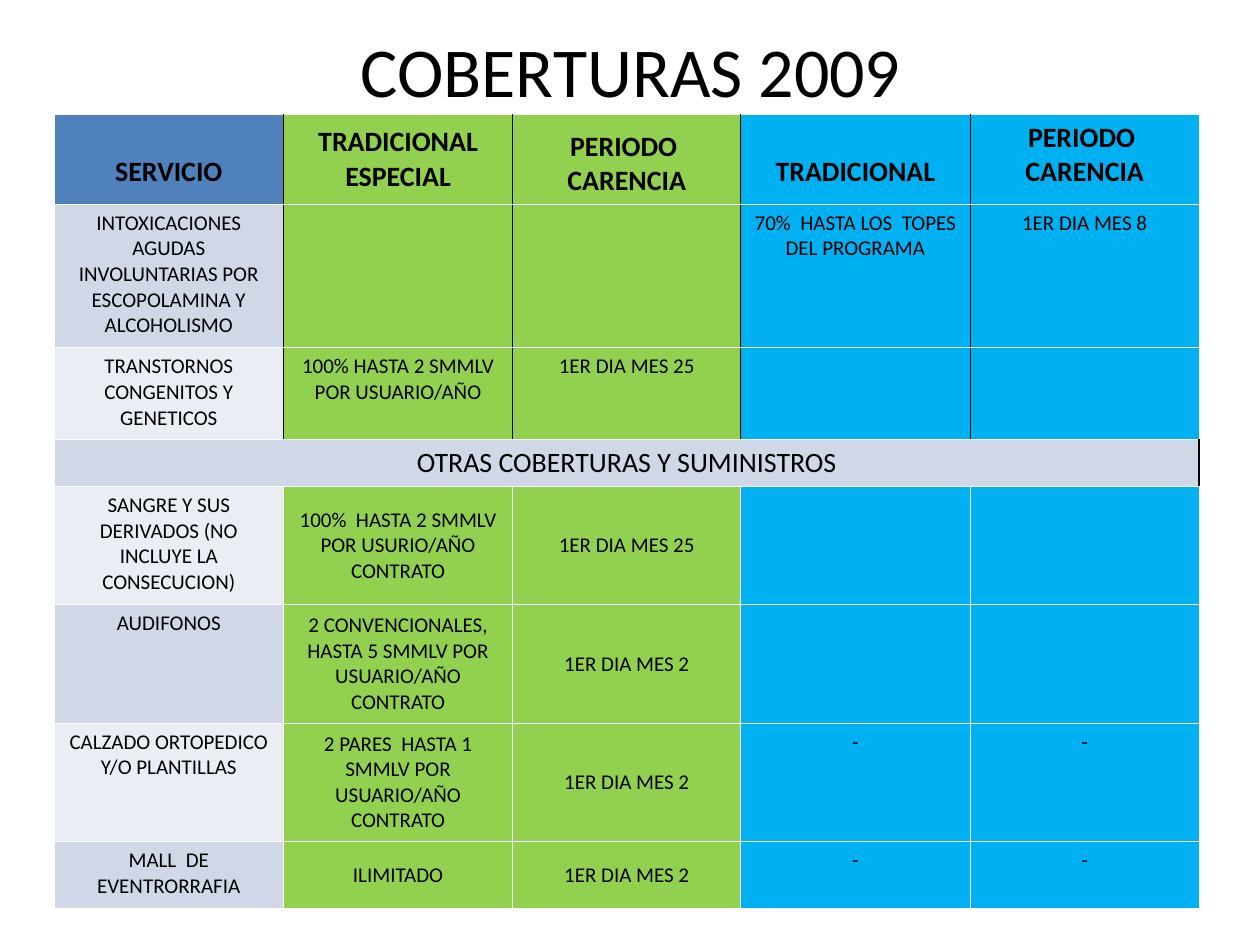
from lxml import etree
from pptx import Presentation
from pptx import util as u
from pptx.dml.color import RGBColor
from pptx.enum import text
from pptx.oxml.ns import qn

FONT = "Calibri"
BLACK, WHITE = "000000", "FFFFFF"
BLUE, GREEN, CYAN = "4F81BD", "92D050", "00B0F0"
BANDS = ("E9EDF4", "D0D8E8")
TOP, MIDDLE, BOTTOM = (text.MSO_ANCHOR.TOP, text.MSO_ANCHOR.MIDDLE,
                       text.MSO_ANCHOR.BOTTOM)

COL_WIDTHS = [1.82, 1.82, 1.81, 1.82, 1.82]
ROW_HEIGHTS = [0.71, 1.14, 0.73, 0.37, 0.94, 0.94, 0.94, 0.53]
SECTION_ROW = 3
HEADER_ANCHORS = [TOP, MIDDLE, BOTTOM, TOP, TOP]
ROWS = [
    ["SERVICIO", "TRADICIONAL ESPECIAL", "PERIODO  CARENCIA", "TRADICIONAL",
     "PERIODO  CARENCIA"],
    ["INTOXICACIONES AGUDAS INVOLUNTARIAS POR ESCOPOLAMINA Y ALCOHOLISMO",
     "", "", "70%  HASTA LOS  TOPES DEL PROGRAMA", "1ER DIA MES 8"],
    ["TRANSTORNOS CONGENITOS Y GENETICOS",
     "100% HASTA 2 SMMLV POR USUARIO/AÑO", "1ER DIA MES 25", "", ""],
    ["OTRAS COBERTURAS Y SUMINISTROS", "", "", "", ""],
    ["SANGRE Y SUS DERIVADOS (NO INCLUYE LA CONSECUCION)",
     "100%  HASTA 2 SMMLV POR USURIO/AÑO CONTRATO", "1ER DIA MES 25", "", ""],
    ["AUDIFONOS", "2 CONVENCIONALES, HASTA 5 SMMLV POR USUARIO/AÑO CONTRATO",
     "1ER DIA MES 2", "", ""],
    ["CALZADO ORTOPEDICO Y/O PLANTILLAS",
     "2 PARES  HASTA 1 SMMLV POR USUARIO/AÑO CONTRATO", "1ER DIA MES 2",
     "-", "-"],
    ["MALL  DE EVENTRORRAFIA", "ILIMITADO", "1ER DIA MES 2", "-", "-"],
]


def rgb(color):
    """Return the colour for a hex string."""
    return RGBColor.from_string(color)


def write(tf, content, size, bold=False):
    """Put centred text into a text frame."""
    tf.word_wrap = True
    tf.text = content
    p = tf.paragraphs[0]
    p.alignment = text.PP_ALIGN.CENTER
    for r in p.runs:
        r.font.name, r.font.size, r.font.bold = FONT, u.Pt(size), bold
        r.font.color.rgb = rgb(BLACK)


def add_title(s):
    """Add the slide title."""
    sp = s.shapes.add_textbox(u.Inches(0.83), u.Inches(0.28),
                              u.Inches(8.35), u.Inches(0.55))
    tf = sp.text_frame
    write(tf, "COBERTURAS 2009", 40)
    tf.vertical_anchor = MIDDLE


def set_border(cell, side, color, width=0.45):
    """Draw one side of a cell: L, R, T or B."""
    ln = etree.SubElement(cell._tc.get_or_add_tcPr(), qn(f"a:ln{side}"),
                          w=str(u.Pt(width)))
    fill = etree.SubElement(ln, qn("a:solidFill"))
    etree.SubElement(fill, qn("a:srgbClr"), val=color)


def set_borders(cell, row, col):
    """Draw white rules, with black column rules above the section row."""
    last = len(COL_WIDTHS) - 1
    upper = row < SECTION_ROW
    set_border(cell, "L", BLACK if upper and col > 0 else WHITE)
    if row == SECTION_ROW:
        set_border(cell, "R", BLACK, 1.08)
    else:
        set_border(cell, "R", BLACK if upper and col < last else WHITE)
    set_border(cell, "T", WHITE)
    set_border(cell, "B", WHITE)


def cell_color(row, col):
    """Return the fill for a table position."""
    if row == SECTION_ROW:
        return BANDS[1]
    if col == 0:
        return BANDS[row % 2] if row else BLUE
    return GREEN if col < 3 else CYAN


def cell_anchor(row, col):
    """Return the vertical anchor for a table position."""
    if row == 0:
        return HEADER_ANCHORS[col]
    return MIDDLE if row > SECTION_ROW and col in (1, 2) else TOP


def add_table(s):
    """Add the coverage table."""
    frame = s.shapes.add_table(len(ROWS), len(COL_WIDTHS), u.Inches(0.43),
                               u.Inches(0.91), u.Inches(sum(COL_WIDTHS)),
                               u.Inches(sum(ROW_HEIGHTS)))
    table = frame.table
    table.first_row = table.horz_banding = False
    for column, width in zip(table.columns, COL_WIDTHS):
        column.width = u.Inches(width)
    for line, height in zip(table.rows, ROW_HEIGHTS):
        line.height = u.Inches(height)
    for row, values in enumerate(ROWS):
        for col, value in enumerate(values):
            cell = table.cell(row, col)
            size = 16 if row in (0, SECTION_ROW) else 12
            write(cell.text_frame, value, size, bold=row == 0)
            cell.vertical_anchor = cell_anchor(row, col)
            lowered = row == 0 and col in (0, 3)
            cell.margin_top = u.Inches(0.32 if lowered else 0.05)
            set_borders(cell, row, col)
            cell.fill.solid()
            cell.fill.fore_color.rgb = rgb(cell_color(row, col))
    table.cell(SECTION_ROW, 0).merge(
        table.cell(SECTION_ROW, len(COL_WIDTHS) - 1))


def main():
    """Build and save the slide."""
    prs = Presentation()
    prs.slide_width, prs.slide_height = u.Inches(10), u.Inches(7.5)
    s = prs.slides.add_slide(prs.slide_layouts[6])
    add_title(s)
    add_table(s)
    prs.save("out.pptx")


if __name__ == "__main__":
    main()
